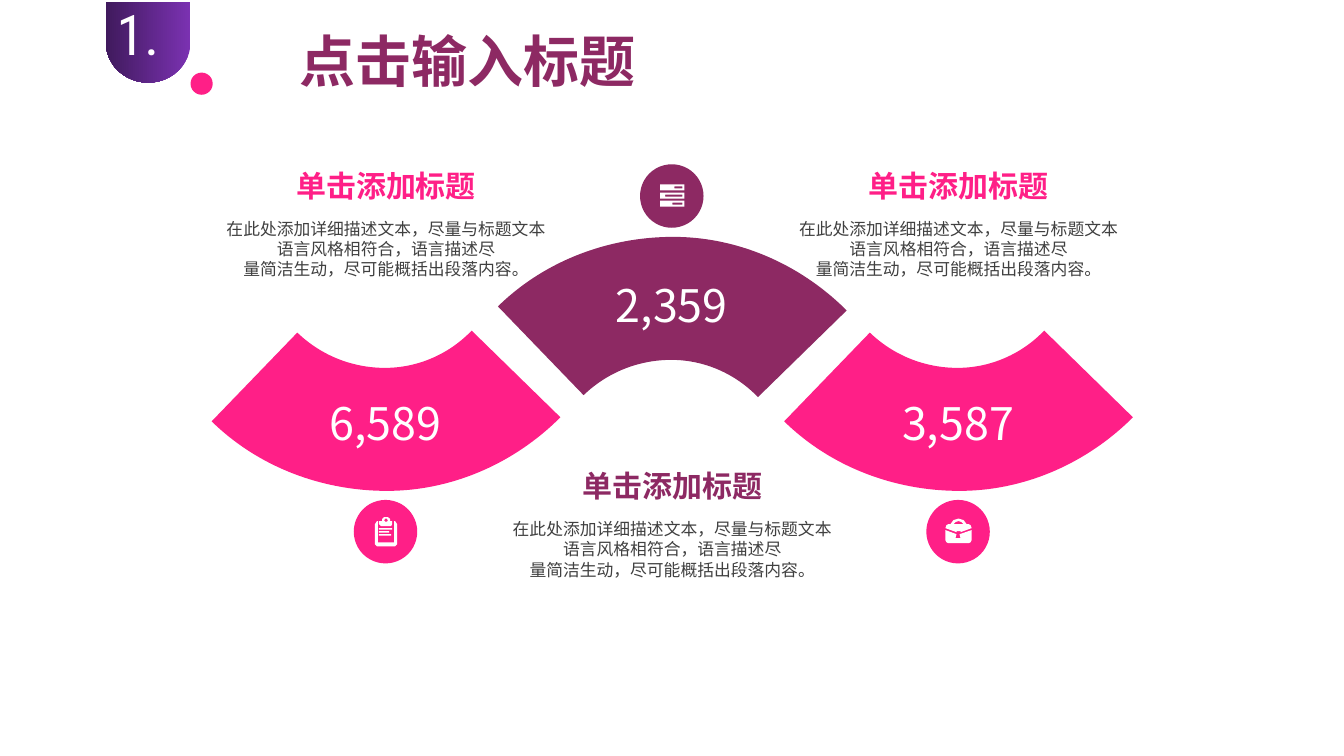
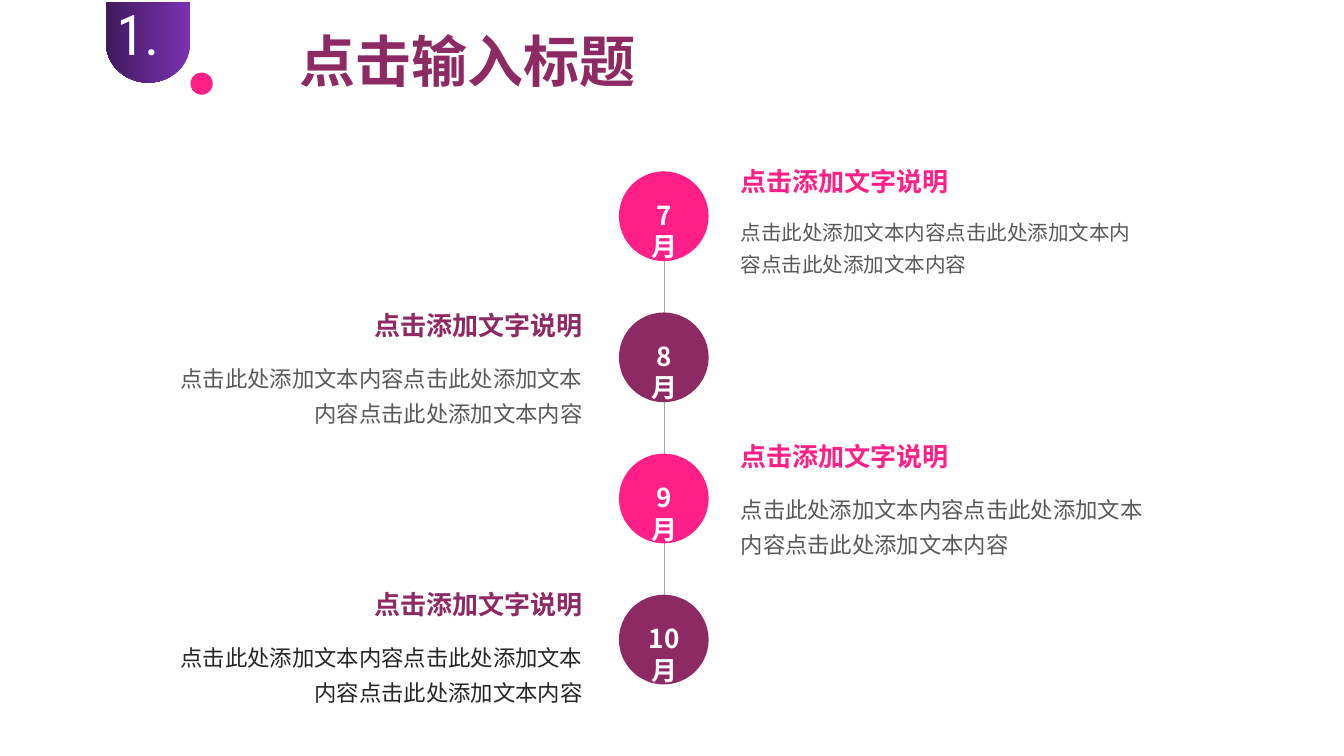
import pptx
import pptx.dml.color
import pptx.enum.shapes
import pptx.enum.text
import pptx.oxml
import pptx.oxml.ns
import pptx.util

Inches = pptx.util.Inches
Pt = pptx.util.Pt
Shapes = pptx.enum.shapes.MSO_SHAPE
Align = pptx.enum.text.PP_ALIGN

PLUM, PINK, WHITE = "8D2963", "FF1F87", "FFFFFF"
GREY, DARK, LINE = "595959", "262626", "A6A6A6"
CJK, NUMERAL, BODY = "Noto Sans CJK SC", "Roboto Condensed", "Calibri"


def color(value):
    return pptx.dml.color.RGBColor.from_string(value)


def apply(target, values):
    for name, value in values.items():
        setattr(target, name, value)


def rectangle(left, top, right, bottom):
    return [(left, top), (right, top), (right, bottom), (left, bottom)]


FAN = [
    (0.01, 0), (0.65, 0), (1.27, 0.27), (1.73, 0.73), (0.85, 1.59),
    (0.63, 1.36), (0.32, 1.22), (-0.01, 1.22), (-0.33, 1.22), (-0.64, 1.34),
    (-0.88, 1.57), (-1.73, 0.69), (-1.27, 0.24), (-0.64, 0), (0.01, 0),
]
FAN_CURVES = [0, 4, 7, 11]
SERVER = [
    rectangle(-12, -11, 12, -5), rectangle(2, -9, 10, -7),
    rectangle(-12, -3, 12, 3), rectangle(-7, -1, 10, 1),
    rectangle(-12, 5, 12, 11), rectangle(0, 7, 10, 9),
]
CLIPBOARD = [
    [(-9, -10), (-8, -10), (-8, 11), (8, 11), (8, -10), (9, -10),
     (11, -7), (11, 13), (9, 15), (-9, 15), (-11, 13), (-11, -7)],
    [(-7, -10), (-4, -10), (-4, -12), (-2, -14), (2, -14), (4, -12),
     (4, -10), (6, -10), (6, -7), (5, -5), (-5, -5), (-7, -7)],
    [(-2, -11), (0, -13), (2, -11), (1, -9.5), (-1, -9.5)],
    rectangle(-7, -3, 6, -1.5), rectangle(-7, 0, 3, 1.5), rectangle(-7, 3, 5, 4.5),
]
BRIEFCASE = [
    [(13, -1), (13, 9), (12, 11), (10, 12), (-10, 12), (-12, 11), (-13, 9),
     (-13, -1), (-2, 3), (-3, 7), (2, 7), (1, 3)],
    [(-13, -3), (-12, -6), (-10, -7), (-8, -7), (-5, -11), (0, -12.5), (5, -11),
     (8, -7), (10, -7), (12, -6), (13, -3), (2, 1), (2, 0), (-2, 0), (-2, 1)],
    [(-5, -7), (-3, -9), (0, -10), (3, -9), (5, -7)],
]


class Deck:
    def __init__(self):
        self.presentation = pptx.Presentation()
        apply(self.presentation, {"slide_width": Inches(40 / 3), "slide_height": Inches(7.5)})
        self.slide = None

    def add_slide(self, title):
        self.slide = self.presentation.slides.add_slide(self.presentation.slide_layouts[5])
        shape = self.slide.shapes.title
        apply(shape, {"left": Inches(2.87), "top": Inches(0.21),
                      "width": Inches(3.73), "height": Inches(0.77)})
        self.fill_text(shape, [(title, 40, PLUM, {"bold": True}, {})], wrap=False)
        badge = self.shape(Shapes.FLOWCHART_DELAY, 1.07, 0, 0.8, 0.84, PLUM)
        badge.rotation = 90
        badge.fill.gradient()
        badge.fill.gradient_angle = 270
        for stop, (value, position) in zip(badge.fill.gradient_stops,
                                           [("7B32B2", 0), ("401A5D", 1)]):
            stop.color.rgb = color(value)
            stop.position = position
        self.text(1.06, -0.05, 0.73, 0.77, [("1.1", 40, WHITE, {"name": NUMERAL}, {})])
        self.shape(Shapes.OVAL, 1.89, 0.72, 0.22, 0.22, PINK)

    def fill_text(self, shape, lines, align=Align.LEFT, wrap=True, margin=0.1):
        frame = shape.text_frame
        apply(frame, {"word_wrap": wrap, "auto_size": pptx.enum.text.MSO_AUTO_SIZE.NONE,
                      "vertical_anchor": pptx.enum.text.MSO_ANCHOR.TOP,
                      "margin_left": Inches(margin), "margin_right": Inches(margin)})
        for index, (text, size, shade, font, spacing) in enumerate(lines):
            paragraph = frame.add_paragraph() if index else frame.paragraphs[0]
            apply(paragraph, {"alignment": align, **spacing})
            run = paragraph.add_run()
            run.text = text
            apply(run.font, {"size": Pt(size), "name": CJK, "bold": False, **font})
            run.font.color.rgb = color(shade)
            east_asian = pptx.oxml.parse_xml(
                f'<a:ea {pptx.oxml.ns.nsdecls("a")} typeface="{CJK}"/>')
            run.font._element.append(east_asian)

    def text(self, left, top, width, height, lines, **options):
        box = self.slide.shapes.add_textbox(*map(Inches, (left, top, width, height)))
        self.fill_text(box, lines, **options)

    def paint(self, shape, fill):
        shape.shadow.inherit = False
        shape.fill.solid()
        shape.fill.fore_color.rgb = color(fill)
        shape.line.fill.background()
        return shape

    def shape(self, kind, left, top, width, height, fill):
        return self.paint(self.slide.shapes.add_shape(
            kind, *map(Inches, (left, top, width, height))), fill)

    def outline(self, contours, fill):
        paths = [[(Inches(x), Inches(y)) for x, y in contour] for contour in contours]
        builder = self.slide.shapes.build_freeform(*paths[0][0], scale=1.0)
        for index, points in enumerate(paths):
            if index:
                builder.move_to(*points[0])
            builder.add_line_segments(points[1:], close=True)
        return self.paint(builder.convert_to_shape(), fill)

    def fan(self, center_x, edge_y, direction, fill):
        shape = self.outline([[(center_x + x, edge_y + direction * y) for x, y in FAN]], fill)
        segments = shape._element.xpath(".//a:path/a:lnTo")
        for start in FAN_CURVES:
            curve = pptx.oxml.parse_xml(f'<a:cubicBezTo {pptx.oxml.ns.nsdecls("a")}/>')
            segments[start].addprevious(curve)
            for segment in segments[start:start + 3]:
                curve.append(segment[0])
                segment.getparent().remove(segment)

    def icon(self, center_x, center_y, contours, fill):
        self.shape(Shapes.OVAL, center_x - 0.32, center_y - 0.31, 0.63, 0.63, fill)
        self.outline([[(center_x + x / 100, center_y + y / 100) for x, y in contour]
                      for contour in contours], WHITE)

    def line(self, start_x, start_y, end_x, end_y):
        connector = self.slide.shapes.add_connector(
            pptx.enum.shapes.MSO_CONNECTOR.STRAIGHT,
            *map(Inches, (start_x, start_y, end_x, end_y)))
        connector.line.color.rgb = color(LINE)
        connector.line.width = Pt(1)
        connector._element.spPr.append(
            pptx.oxml.parse_xml(f'<a:effectLst {pptx.oxml.ns.nsdecls("a")}/>'))


def build_fans(deck):
    deck.add_slide("点击输入标题")
    description = ["在此处添加详细描述文本，尽量与标题文本", "语言风格相符合，语言描述尽",
                   "量简洁生动，尽可能概括出段落内容。"]
    fans = [
        ("6,589", 3.83, 4.87, -1, PINK, 3.88, 1.61, 5.27, CLIPBOARD),
        ("2,359", 6.67, 2.35, 1, PLUM, 2.71, 4.59, 1.94, SERVER),
        ("3,587", 9.51, 4.87, -1, PINK, 3.88, 1.61, 5.27, BRIEFCASE),
    ]
    for number, x, edge_y, direction, fill, number_top, text_top, icon_y, contours in fans:
        deck.fan(x, edge_y, direction, fill)
        lines = [("单击添加标题", 21.4, fill, {"bold": True}, {})]
        lines += [(text, 12, "404040", {}, {"space_before": Pt(0 if index else 11)})
                  for index, text in enumerate(description)]
        deck.text(x - 1.89, text_top, 3.78, 1.22, lines, align=Align.CENTER)
        deck.icon(x, icon_y, contours, fill)
        deck.text(x - 1.12, number_top, 2.23, 0.64, [(number, 32, WHITE, {}, {})],
                  align=Align.CENTER)


def build_timeline(deck):
    deck.add_slide("点击输入标题")
    deck.line(6.59, 2.22, 6.59, 6.42)
    months = [("7月", 1.59, 14.65, GREY), ("8月", 3.02, 16, GREY),
              ("9月", 4.32, 16, GREY), ("10月", 5.79, 16, DARK)]
    for index, (month, top, size, shade) in enumerate(months):
        circle_top = 1.7 + 1.4 * index
        fill, left, align = [(PINK, 7.25, Align.LEFT), (PLUM, 1.63, Align.RIGHT)][index % 2]
        deck.shape(Shapes.OVAL, 6.14, circle_top, 0.89, 0.89, fill)
        deck.text(6.41, circle_top + 0.23, 0.36, 0.72,
                  [(month, 18.6, WHITE, {"bold": True}, {})], align=Align.CENTER, margin=0)
        deck.text(left, top, 4.25, 0.42,
                  [("点击添加文字说明", 18.6, fill, {"bold": True}, {})], align=align)
        deck.text(left, top + 0.47, 4.25, 0.8,
                  [("点击此处添加文本内容" * 3, size, shade, {"name": BODY},
                    {"line_spacing": 1.3})], align=align)


def main():
    deck = Deck()
    build_fans(deck)
    build_timeline(deck)
    deck.presentation.save("out.pptx")


if __name__ == "__main__":
    main()
